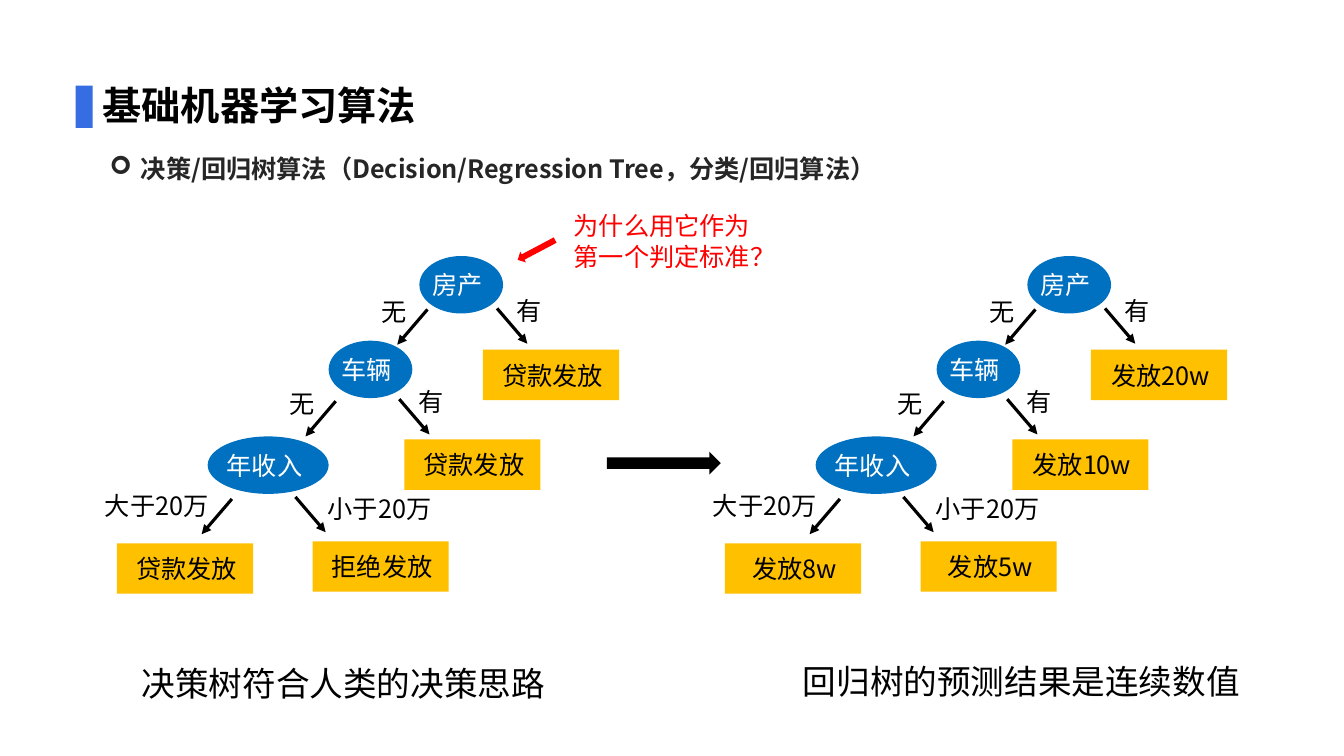
"""Build a slide that compares a decision tree with a regression tree."""
from dataclasses import dataclass

from lxml import etree
from pptx import Presentation
from pptx.dml.color import RGBColor
from pptx.enum.shapes import MSO_CONNECTOR, MSO_SHAPE
from pptx.enum.text import MSO_ANCHOR, PP_ALIGN
from pptx.oxml.ns import qn
from pptx.util import Inches, Pt

RECT, OVAL, ARROW = MSO_SHAPE.RECTANGLE, MSO_SHAPE.OVAL, MSO_SHAPE.RIGHT_ARROW
STRAIGHT = MSO_CONNECTOR.STRAIGHT
LEFT, CENTER = PP_ALIGN.LEFT, PP_ALIGN.CENTER
TOP, MIDDLE = MSO_ANCHOR.TOP, MSO_ANCHOR.MIDDLE


@dataclass(frozen=True)
class Theme:
    font: str = "Noto Sans CJK SC"
    black: str = "000000"
    gray: str = "262626"
    white: str = "FFFFFF"
    red: str = "FF0000"
    accent: str = "366DE2"
    node: str = "0070C0"
    leaf: str = "FFC000"
    title: int = 28
    caption: int = 24
    body: int = 18


T = Theme()


def write(sp, text, size=T.body, color=T.black, bold=False, align=CENTER, anchor=TOP, wrap=True):
    tf = sp.text_frame
    tf.word_wrap = wrap
    tf.vertical_anchor = anchor
    p = tf.paragraphs[0]
    p.alignment = align
    r = p.add_run()
    r.text = text
    r.font.size = Pt(size)
    r.font.bold = bold
    r.font.name = T.font
    r.font.color.rgb = RGBColor.from_string(color)
    etree.SubElement(r.font._element, qn("a:ea"), typeface=T.font)
    return p


def add_box(kind, x, y, w, h, fill):
    sp = s.shapes.add_shape(kind, Inches(x), Inches(y), Inches(w), Inches(h))
    sp.shadow.inherit = False
    sp.fill.solid()
    sp.fill.fore_color.rgb = RGBColor.from_string(fill)
    sp.line.fill.background()
    return sp


prs = Presentation()
prs.slide_width, prs.slide_height = Inches(13.33), Inches(7.5)
s = prs.slides.add_slide(prs.slide_layouts[6])

add_box(RECT, 0.75, 0.85, 0.17, 0.42, T.accent)

texts = [
    (0.92, 0.76, 7.19, 0.54, "基础机器学习算法",
     dict(size=T.title, bold=True, align=LEFT)),
    (1.16, 6.53, 4.49, 0.5, "决策树符合人类的决策思路", dict(size=T.caption)),
    (7.66, 6.51, 4.94, 0.91, "回归树的预测结果是连续数值", dict(size=T.caption)),
    (5.47, 2.04, 2.19, 0.71, "为什么用它作为第一个判定标准？", dict(color=T.red)),
]
for x, y, w, h, text, style in texts:
    write(s.shapes.add_textbox(Inches(x), Inches(y), Inches(w), Inches(h)), text, **style)

subtitle = s.shapes.add_textbox(Inches(0.99), Inches(1.47), Inches(9.36), Inches(0.4))
p = write(subtitle, "决策/回归树算法（Decision/Regression Tree，分类/回归算法）",
          color=T.gray, bold=True, align=LEFT)
pPr = p._p.get_or_add_pPr()
pPr.set("marL", str(Inches(0.31)))
pPr.set("indent", str(-Inches(0.31)))
etree.SubElement(pPr, qn("a:buFont"), typeface="Wingdings")
etree.SubElement(pPr, qn("a:buChar"), char="➢")

nodes = [("房产", 4.16, 2.54, 0.83), ("车辆", 3.26, 3.38, 0.83), ("年收入", 2.06, 4.33, 1.2)]
leaf_places = [(4.79, 3.47), (4.01, 4.36), (1.16, 5.39), (3.1, 5.37)]
branches = [
    ("无", 4.24, 3.07, -0.3, 3.65, 2.89),
    ("有", 4.93, 3.06, 0.3, 4.99, 2.88),
    ("无", 3.33, 3.98, -0.3, 2.74, 3.8),
    ("有", 3.96, 3.96, 0.3, 4.02, 3.78),
    ("大于20万", 2.3, 4.95, -0.3, 0.74, 4.82),
    ("小于20万", 2.93, 4.93, 0.3, 2.95, 4.84),
]
trees = [
    (0, ["贷款发放", "贷款发放", "贷款发放", "拒绝发放"]),
    (6.03, ["发放20w", "发放10w", "发放8w", "发放5w"]),
]
for shift, outcomes in trees:
    for name, x, y, w in nodes:
        sp = add_box(OVAL, x + shift, y, w, 0.57, T.node)
        sp.text_frame.margin_left, sp.text_frame.margin_right = Inches(0), Inches(0.07)
        write(sp, name, color=T.white, anchor=MIDDLE, wrap=False)

    for outcome, (x, y) in zip(outcomes, leaf_places):
        sp = add_box(RECT, x + shift, y, 1.35, 0.5, T.leaf)
        sp.text_frame.margin_left, sp.text_frame.margin_right = Inches(0.03), Inches(0)
        write(sp, outcome, anchor=MIDDLE)

    for label, x, y, dx, label_x, label_y in branches:
        line = s.shapes.add_connector(STRAIGHT, Inches(x + shift), Inches(y),
                                      Inches(x + shift + dx), Inches(y + 0.35))
        line.line.color.rgb = RGBColor.from_string(T.black)
        line.line.width = Pt(2.25)
        etree.SubElement(line.line._get_or_add_ln(), qn("a:tailEnd"), type="triangle")
        etree.SubElement(line._element.spPr, qn("a:effectLst"))
        label_w = 0.51 if len(label) == 1 else 1.63
        write(s.shapes.add_textbox(Inches(label_x + shift), Inches(label_y),
                                   Inches(label_w), Inches(0.4)), label)

add_box(ARROW, 6.02, 4.48, 1.13, 0.23, T.black)
hint_arrow = add_box(ARROW, 5.11, 2.42, 0.42, 0.12, T.red)
hint_arrow.rotation = 152.1

prs.save("out.pptx")
